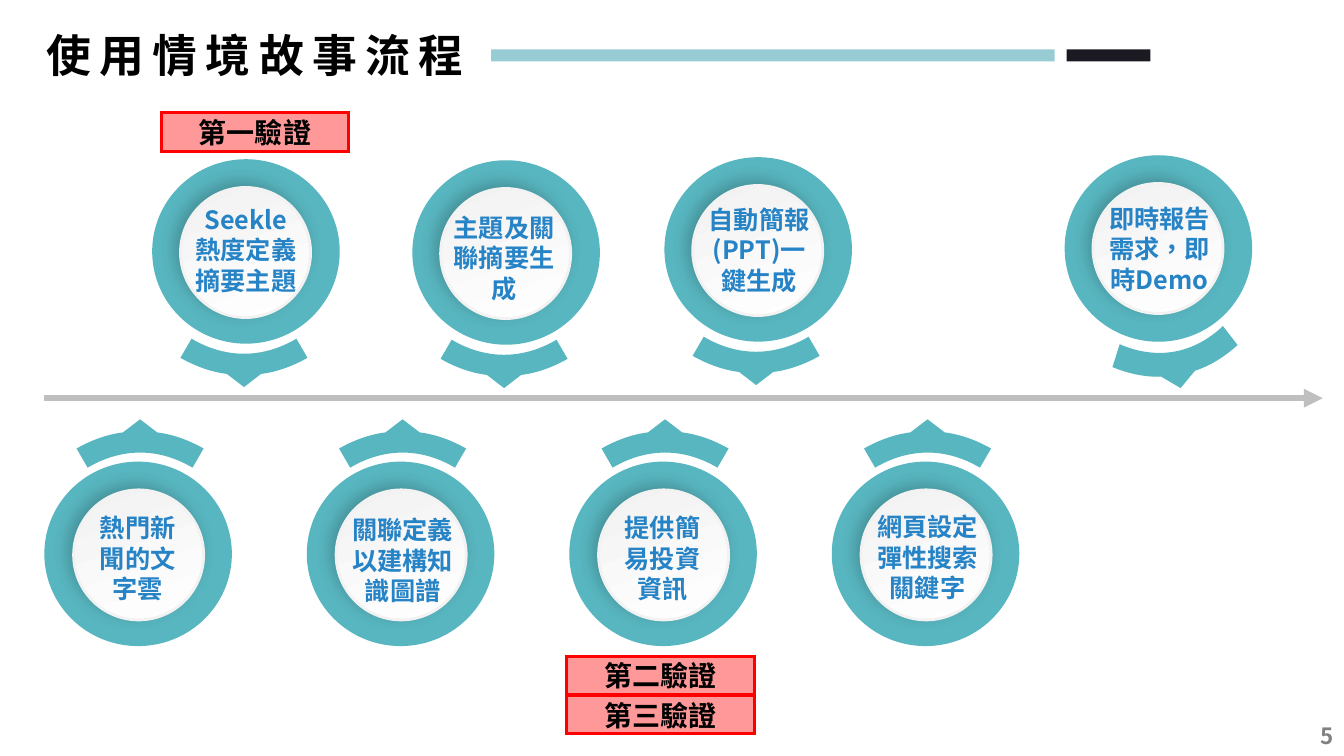
import math

import pptx
import pptx.dml.color
import pptx.enum.shapes
import pptx.enum.text
import pptx.oxml
import pptx.oxml.ns
import pptx.util

Inches = pptx.util.Inches
Pt = pptx.util.Pt
SHAPES = pptx.enum.shapes.MSO_SHAPE
ALIGN = pptx.enum.text.PP_ALIGN
ANCHOR = pptx.enum.text.MSO_ANCHOR
NAMESPACE = pptx.oxml.ns.nsdecls("a")
FONT = "Noto Sans CJK SC"
LINE_FACTOR = 1.21
COLORS = {
    "black": "000000", "white": "FFFFFF", "pale": "F2F2F2", "teal": "58B6C0",
    "light_teal": "97CCD4", "ink": "1B1A22", "blue": "2683C6", "axis": "BFBFBF",
    "number": "808080", "tag": "FF9999", "red": "FF0000",
}
RING_W, CORE_SIZE = 1.86, 1.29
UPPER_STAGES = [
    (1.51, 1.58, "Seekle熱度定義摘要主題", 1.26, 0.30, 0.39, 180),
    (4.09, 1.59, "主題及關聯摘要生成", 1.26, 0.28, 0.46, 180),
    (6.59, 1.56, "自動簡報(PPT)一鍵生成", 1.26, 0.31, 0.41, 180),
    (10.56, 1.54, "即時報告需求，即時Demo", 1.26, 0.31, 0.42, 170),
]
LOWER_STAGES = [
    ("熱門新聞的文字雲", 0.97, 0.44, 0.45),
    ("關聯定義以建構知識圖譜", 1.26, 0.32, 0.47),
    ("提供簡易投資資訊", 0.97, 0.44, 0.45),
    ("網頁設定彈性搜索關鍵字", 1.26, 0.32, 0.44),
]
POINTER = {
    0: (0.95, -0.42, 1, 1.83, 0.29),
    180: (0.91, 2.26, 1, 1.83, 0.28),
    170: (1.15, 2.31, 1.11, 1.85, 0.28),
}
POINTER_HALF = [
    (0, 0), (0, 0), (0.17, 0.13), (0.17, 0.13),
    (0.33, 0.15), (0.49, 0.21), (0.63, 0.29),
    (0.63, 0.29), (0.52, 0.48), (0.52, 0.48),
    (0.37, 0.39), (0.19, 0.33), (0, 0.33),
]
TAGS = [(1.6, 1.12, "第一驗證"), (5.62, 6.51, "第二驗證"), (5.62, 6.9, "第三驗證")]


def rgb(name):
    return pptx.dml.color.RGBColor.from_string(COLORS[name])


def element(text):
    return pptx.oxml.parse_xml(text.replace("/>", f" {NAMESPACE}/>", 1))


def write(shape, text, size, color, align, spacing=0, wrap=True):
    frame = shape.text_frame
    frame.word_wrap = wrap
    frame.vertical_anchor = ANCHOR.MIDDLE
    paragraph = frame.paragraphs[0]
    paragraph.alignment = align
    paragraph.line_spacing = Pt(size * LINE_FACTOR)
    run = paragraph.add_run()
    run.text = text
    run.font.size = Pt(size)
    run.font.bold = True
    run.font.name = FONT
    run.font.color.rgb = rgb(color)
    properties = run.font._element
    properties.set("lang", "zh-TW")
    properties.find(pptx.oxml.ns.qn("a:latin")).addnext(
        element(f'<a:ea typeface="{FONT}"/>'))
    if spacing:
        properties.set("spc", str(spacing * 100))


def add_text(slide, box, *args, **options):
    shape = slide.shapes.add_textbox(*map(Inches, box))
    write(shape, *args, **options)


def paint(shape, fill, line=None, width=0):
    shape.shadow.inherit = False
    shape.fill.solid()
    shape.fill.fore_color.rgb = rgb(fill)
    if line:
        shape.line.color.rgb = rgb(line)
        shape.line.width = Pt(width)
        shape.line._get_or_add_ln().append(element('<a:miter lim="800000"/>'))
    else:
        shape.line.fill.background()
    return shape


def add_block(slide, kind, box, *style):
    return paint(slide.shapes.add_shape(kind, *map(Inches, box)), *style)


def bend_segments(shape):
    qn = pptx.oxml.ns.qn
    outline = next(shape._element.iter(qn("a:path")))
    segments = outline.findall(qn("a:lnTo"))
    for first in range(0, len(segments), 3):
        bend = element("<a:cubicBezTo/>")
        segments[first].addprevious(bend)
        for segment in segments[first:first + 3]:
            bend.append(segment[0])
            outline.remove(segment)


def add_pointer(slide, tip_x, tip_y, angle, stretch):
    outline = POINTER_HALF + [(-x, y) for x, y in POINTER_HALF[-2::-1]]
    cos, sin = math.cos(math.radians(angle)), math.sin(math.radians(angle))
    points = [(Inches(tip_x + x * cos - y * stretch * sin),
               Inches(tip_y + x * sin + y * stretch * cos)) for x, y in outline]
    builder = slide.shapes.build_freeform(*points[0], scale=1.0)
    builder.add_line_segments(points[1:], close=True)
    shape = builder.convert_to_shape()
    bend_segments(shape)
    paint(shape, "teal")


def add_core(slide, left, top):
    core = add_block(slide, SHAPES.OVAL, (left, top, CORE_SIZE, CORE_SIZE),
                     "white", "pale", 2)
    core.fill.gradient()
    core.fill.gradient_angle = 110
    for stop, color in zip(core.fill.gradient_stops, ("white", "pale")):
        stop.color.rgb = rgb(color)
    effects = core._element.spPr.find(pptx.oxml.ns.qn("a:effectLst"))
    effects.append(pptx.oxml.parse_xml(
        f'<a:outerShdw {NAMESPACE} blurRad="{Pt(11)}" dist="{Pt(5)}" '
        f'dir="13500000" algn="ctr" rotWithShape="0"><a:srgbClr val="{COLORS["black"]}">'
        '<a:alpha val="20000"/></a:srgbClr></a:outerShdw>'))


def add_stage(slide, left, top, text, text_width, text_left, text_top, angle):
    tip_x, tip_y, stretch, ring_height, core_gap = POINTER[angle]
    add_pointer(slide, left + tip_x, top + tip_y, angle, stretch)
    add_block(slide, SHAPES.OVAL, (left, top, RING_W, ring_height), "teal")
    add_core(slide, left + core_gap, top + 0.28)
    text_box = (left + text_left, top + text_top, text_width, 1.01)
    add_text(slide, text_box, text, 18, "blue", ALIGN.CENTER)


def add_header(slide, left, top):
    add_text(slide, (left, top, 4.47, 0.64), "使用情境故事流程", 32, "black",
             ALIGN.LEFT, spacing=6, wrap=False)
    for offset, width, color in ((4.51, 5.59, "light_teal"), (10.22, 0.83, "ink")):
        add_block(slide, SHAPES.RECTANGLE, (left + offset, top + 0.27, width, 0.12), color)


def add_axis(slide, left, right, y):
    axis = slide.shapes.add_connector(
        pptx.enum.shapes.MSO_CONNECTOR.STRAIGHT,
        Inches(left), Inches(y), Inches(right), Inches(y))
    axis.line.color.rgb = rgb("axis")
    axis.line.width = Pt(4.5)
    axis.line._get_or_add_ln().append(element('<a:tailEnd type="triangle"/>'))
    axis._element.spPr.append(element("<a:effectLst/>"))


def add_tag(slide, left, top, text):
    tag = add_block(slide, SHAPES.PENTAGON, (left, top, 1.86, 0.38), "tag", "red", 2.25)
    tag.adjustments[0] = 0
    write(tag, text, 20, "black", ALIGN.CENTER)


def main():
    presentation = pptx.Presentation()
    presentation.slide_width = Inches(13.33)
    presentation.slide_height = Inches(7.5)
    slide = presentation.slides.add_slide(presentation.slide_layouts[6])
    add_text(slide, (10.33, 7.1, 3, 0.4), "5", 16, "number", ALIGN.RIGHT)
    add_header(slide, 0.36, 0.22)
    add_axis(slide, 0.44, 13.12, 3.95)
    for stage in UPPER_STAGES:
        add_stage(slide, *stage)
    for index, stage in enumerate(LOWER_STAGES):
        add_stage(slide, 0.44 + 7.81 / 3 * index, 4.58, *stage, 0)
    for tag in TAGS:
        add_tag(slide, *tag)
    presentation.save("out.pptx")


if __name__ == "__main__":
    main()
